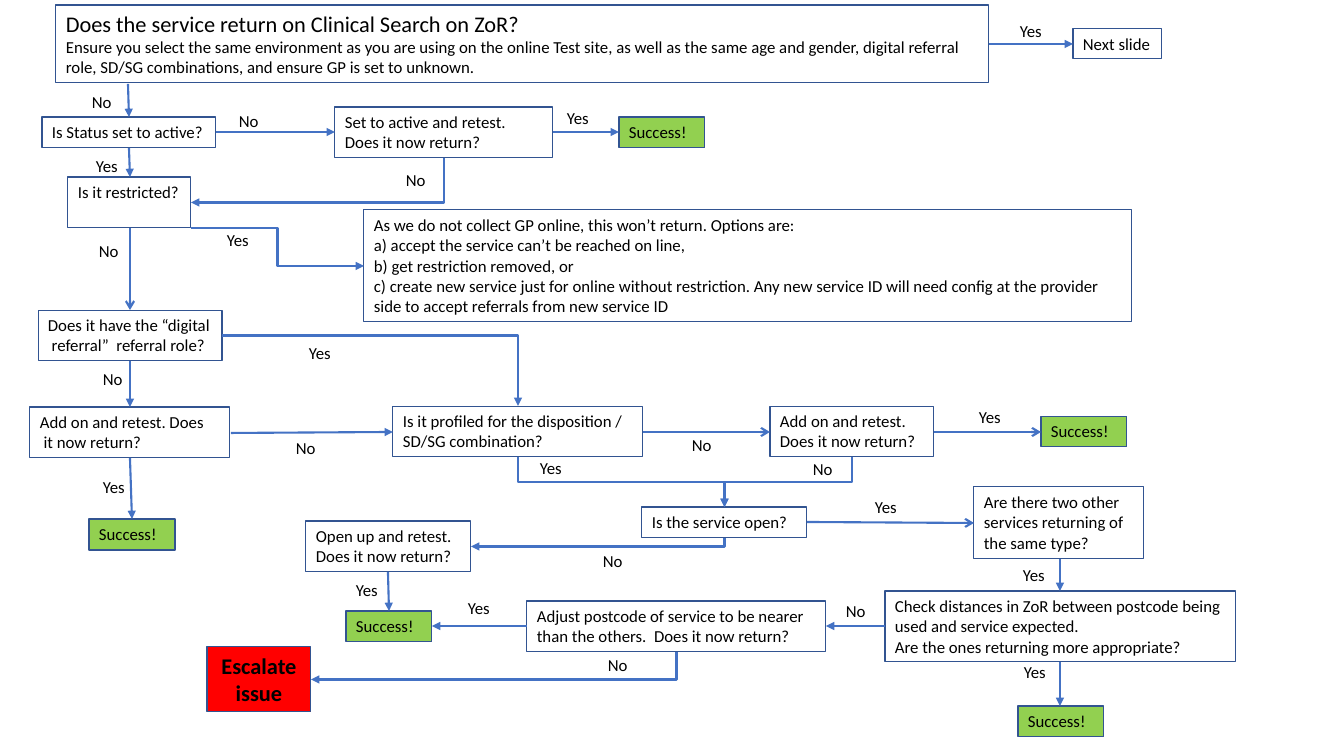
from lxml.etree import SubElement
from pptx import Presentation
from pptx.dml.color import RGBColor
from pptx.enum.shapes import MSO_CONNECTOR as LINK, MSO_SHAPE as SHAPE
from pptx.enum.text import MSO_ANCHOR as ANCHOR, PP_ALIGN as ALIGN
from pptx.oxml.ns import qn
from pptx.util import Pt

SCALE = 914400 / 100.8
BLUE, NAVY, GREEN, RED = "4472C4", "325491", "92D050", "FF0000"


def color(value):
    return RGBColor.from_string(value)


def px(*values):
    return [round(value * SCALE) for value in values]


deck = Presentation()
deck.slide_width, deck.slide_height = px(1344, 756)
page = deck.slides.add_slide(deck.slide_layouts[6])

# Questions, actions and outcomes: left, top, width, height, fill, paragraphs
RETEST = "Does it now return?"
steps = {
    "search": (56, 5, 933, 78, None, [
        "Does the service return on Clinical Search on ZoR?",
        "Ensure you select the same environment as you are using on the online Test site, "
        "as well as the same age and gender, digital referral role, SD/SG combinations, "
        "and ensure GP is set to unknown."]),
    "next": (1073, 29, 89, 30, None, ["Next slide"]),
    "status": (42, 117, 174, 31, None, ["Is Status set to active?"]),
    "activate": (335, 107, 218, 51, None, ["Set to active and retest. ", RETEST]),
    "restricted": (68, 177, 123, 51, None, ["Is it restricted?"]),
    "options": (364, 210, 768, 112, None, [
        "As we do not collect GP online, this won’t return. Options are:",
        "a) accept the service can’t be reached on line, ",
        "b) get restriction removed, or ",
        "c) create new service just for online without restriction. Any new service ID "
        "will need config at the provider side to accept referrals from new service ID"]),
    "role": (38, 310, 184, 51, None, ["Does it have the “digital", " referral”  referral role?"]),
    "add role": (30, 407, 200, 51, None, ["Add on and retest. Does", " it now return?"]),
    "profiled": (393, 406, 250, 51, None,
                 ["Is it profiled for the disposition / SD/SG combination?"]),
    "add profile": (770, 406, 164, 51, None, ["Add on and retest. ", RETEST]),
    "open": (642, 507, 165, 31, None, ["Is the service open?"]),
    "reopen": (306, 521, 165, 51, None, ["Open up and retest. ", RETEST]),
    "others": (974, 487, 170, 72, None,
               ["Are there two other services returning of the same type?"]),
    "distances": (885, 591, 351, 71, None, [
        "Check distances in ZoR between postcode being used and service expected.",
        "Are the ones returning more appropriate?"]),
    "postcode": (527, 601, 299, 51, None,
                 ["Adjust postcode of service to be nearer than the others.  " + RETEST]),
    "escalate": (207, 647, 104, 65, RED, ["Escalate issue"]),
}
successes = [(619, 117), (89, 519), (1041, 416), (1018, 706), (346, 611)]
for number, (left, top) in enumerate(successes):
    steps[f"success {number}"] = (left, top, 86, 31, GREEN, ["Success!"])

boxes = {}
for name, (left, top, width, height, fill, lines) in steps.items():
    box = boxes[name] = page.shapes.add_shape(SHAPE.RECTANGLE, *px(left, top, width, height))
    box.shadow.inherit = False
    if fill:
        box.fill.solid()
        box.fill.fore_color.rgb = color(fill)
    else:
        box.fill.background()
    box.line.color.rgb = color(NAVY)
    box.line.width = Pt(1.5 if name == "success 1" else 0.75)
    frame = box.text_frame
    frame.word_wrap = name not in ("next", "status", "restricted", "role")
    frame.vertical_anchor = ANCHOR.TOP
    frame.text = "\n".join(lines)
    for index, para in enumerate(frame.paragraphs):
        para.alignment = ALIGN.CENTER if name == "escalate" else ALIGN.LEFT
        font = para.runs[0].font
        font.name, font.color.rgb = "Calibri", color("000000")
        font.bold = name == "escalate"
        font.size = Pt(16 if name == "escalate" or (name, index) == ("search", 0) else 12)

# Answers beside the arrows
answers = {
    "Yes": [(1014, 657), (1013, 560), (346, 575), (93, 472), (969, 402), (865, 492),
            (458, 593), (217, 225), (530, 453), (86, 151), (557, 103), (1010, 16), (299, 338)],
    "No": [(93, 364), (836, 596), (803, 454), (229, 106), (89, 236), (598, 650), (396, 165),
           (682, 430), (286, 433), (82, 87), (593, 546)],
}
for answer, places in answers.items():
    for left, top in places:
        label = page.shapes.add_textbox(*px(left, top, 42, 31))
        label.text_frame.word_wrap = False
        label.text_frame.text = answer
        font = label.text_frame.paragraphs[0].runs[0].font
        font.name, font.size, font.color.rgb = "Calibri", Pt(12), color("000000")

# Straight arrows: from, to
open_heads = [(643, 432, 770, 432), (130, 228, 130, 310), (934, 432, 1041, 432),
              (807, 522, 974, 523)]
solid_heads = [
    (216, 132, 335, 132), (231, 433, 393, 432), (553, 132, 619, 132),
    (1060, 662, 1060, 706), (1060, 559, 1060, 591), (130, 458, 132, 519),
    (885, 626, 826, 626), (527, 626, 432, 626), (388, 572, 389, 611),
    (129, 148, 130, 177), (128, 84, 129, 117), (130, 361, 130, 407), (989, 44, 1073, 44),
]
arrows = []
for head, routes in (("arrow", open_heads), ("triangle", solid_heads)):
    for route in routes:
        arrows.append((page.shapes.add_connector(LINK.STRAIGHT, *px(*route)), head))

# Elbow arrows: start box and side, end box and side, preset
TOP, LEFT, BOTTOM, RIGHT = range(4)
elbows = [
    ("activate", BOTTOM, "restricted", RIGHT, "bentConnector2"),
    ("role", RIGHT, "profiled", TOP, "bentConnector2"),
    ("profiled", BOTTOM, "open", TOP, "bentConnector3"),
    ("add profile", BOTTOM, "open", TOP, "bentConnector3"),
    ("open", BOTTOM, "reopen", RIGHT, "bentConnector2"),
    ("postcode", BOTTOM, "escalate", RIGHT, "bentConnector2"),
]
for start, start_side, end, end_side, preset in elbows:
    elbow = page.shapes.add_connector(LINK.ELBOW, 0, 0, 0, 0)
    elbow.begin_connect(boxes[start], start_side)
    elbow.end_connect(boxes[end], end_side)
    elbow.element.spPr.find(qn("a:prstGeom")).set("prst", preset)
    if start_side == BOTTOM:
        # A path that sets off downwards is a sideways one, turned about its centre
        across, down = elbow.end_x - elbow.begin_x, elbow.end_y - elbow.begin_y
        middle_x = (elbow.begin_x + elbow.end_x) // 2
        middle_y = (elbow.begin_y + elbow.end_y) // 2
        xfrm = elbow.element.spPr.find(qn("a:xfrm"))
        for flip in ("flipH", "flipV"):
            xfrm.attrib.pop(flip, None)
        elbow.width, elbow.height = down, abs(across)
        elbow.left, elbow.top = middle_x - down // 2, middle_y - abs(across) // 2
        xfrm.set("rot", str((90 if across < 0 else 270) * 60000))
        if across > 0:
            xfrm.set("flipH", "1")
    arrows.append((elbow, "triangle"))
arrows.append((page.shapes.add_connector(LINK.ELBOW, *px(191, 228, 364, 266)), "triangle"))

# Line style and arrowheads
for arrow, head in arrows:
    arrow.line.color.rgb = color(BLUE)
    arrow.line.width = Pt(1.5)
    SubElement(arrow.element.spPr.find(qn("a:ln")), qn("a:tailEnd"), type=head)
    SubElement(arrow.element.spPr, qn("a:effectLst"))

deck.save("out.pptx")
